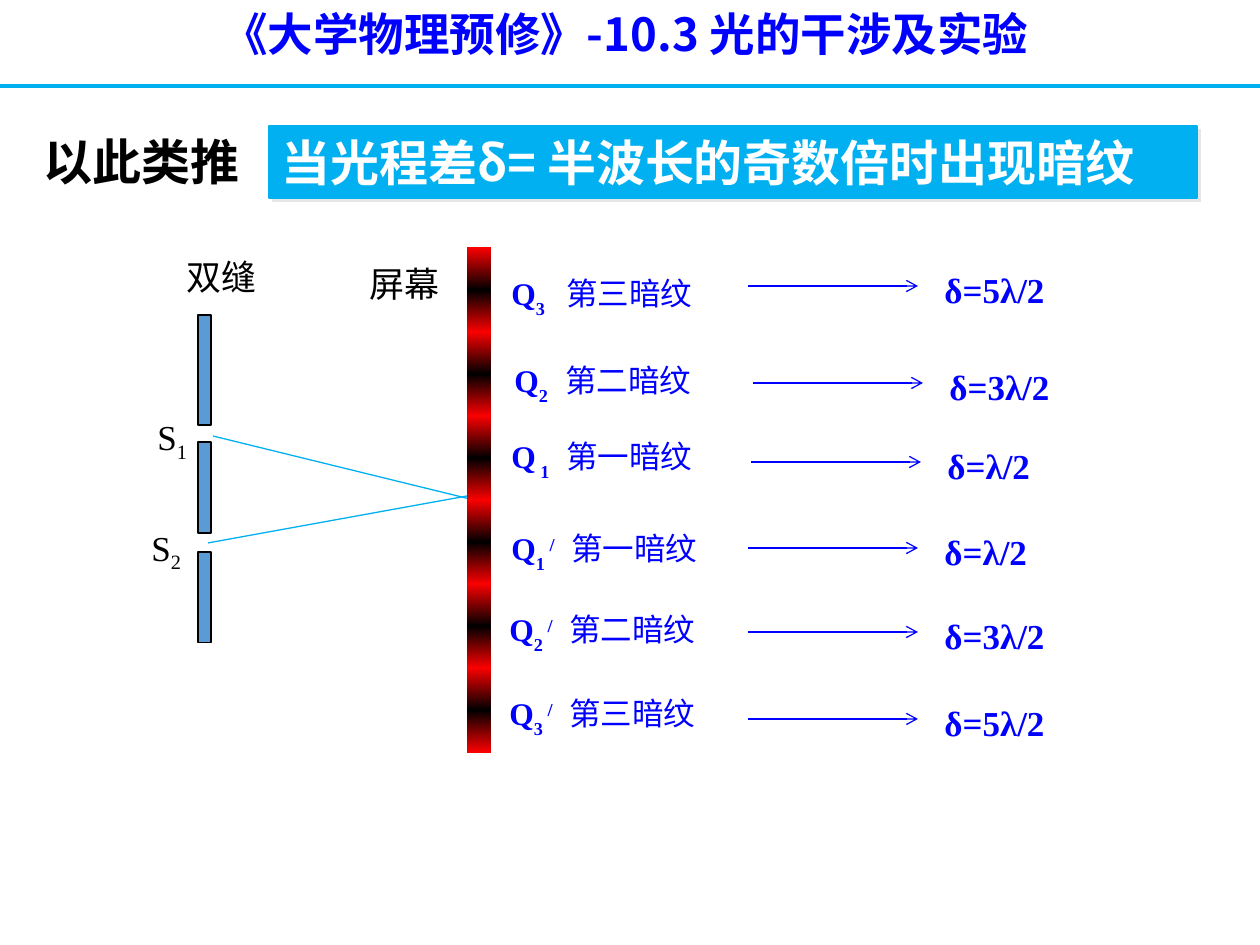
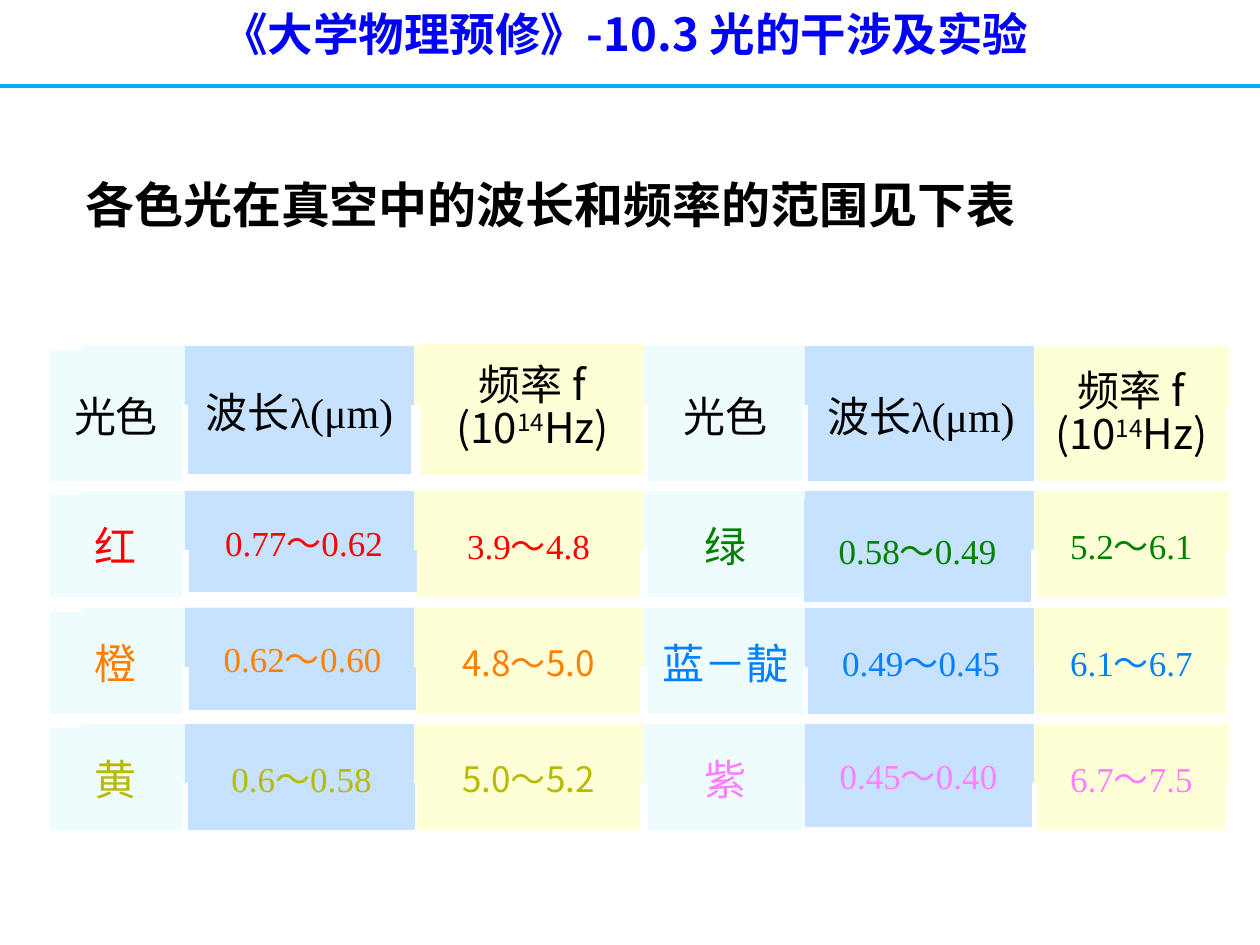
import copy

import pptx
import pptx.dml.color
import pptx.enum.shapes
import pptx.enum.text
import pptx.oxml.ns
import pptx.util
import lxml.etree

RGB = pptx.dml.color.RGBColor
BLUE = RGB(0x00, 0x00, 0xFF)
SKY = RGB(0x00, 0xB0, 0xF0)
SLIT = RGB(0x5B, 0x9B, 0xD5)
BLACK = RGB(0x00, 0x00, 0x00)
WHITE = RGB(0xFF, 0xFF, 0xFF)
RED = RGB(0xFF, 0x00, 0x00)
ORANGE = RGB(0xFF, 0x80, 0x00)
YELLOW = RGB(0xB9, 0xB9, 0x00)
GREEN = RGB(0x00, 0x80, 0x00)
INDIGO = RGB(0x00, 0x80, 0xFF)
VIOLET = RGB(0xFF, 0x80, 0xFF)
COLUMN_FILLS = [RGB(0xEF, 0xFC, 0xFD), RGB(0xC6, 0xE2, 0xFF), RGB(0xFF, 0xFF, 0xD7)]

PX = 7257  # EMU in one px, 126 px to the inch
SANS, SERIF = "Noto Sans CJK SC", "Times New Roman"
TITLE = {"name": SANS, "size": pptx.util.Pt(26), "bold": True}
HEADING = {"name": SANS, "size": pptx.util.Pt(28), "bold": True}
LABEL = {"name": SERIF, "size": pptx.util.Pt(20)}
FRINGE = {"name": SERIF, "size": pptx.util.Pt(18)}
DELTA = {"name": SERIF, "size": pptx.util.Pt(20), "bold": True}
CELL = {"name": SANS, "size": pptx.util.Pt(24)}
LEFT, CENTER = pptx.enum.text.PP_ALIGN.LEFT, pptx.enum.text.PP_ALIGN.CENTER
RECT = pptx.enum.shapes.MSO_SHAPE.RECTANGLE
STRAIGHT = pptx.enum.shapes.MSO_CONNECTOR.STRAIGHT
qn = pptx.oxml.ns.qn


def write(tf, runs, color, fmt, align=LEFT):
    """Write (text, baseline percent, format changes) runs; "\\n" is a line break."""
    tf.word_wrap = True
    p = tf.paragraphs[0]
    p.alignment = align
    for text, baseline, changes in runs:
        if text == "\n":
            p.add_line_break()
            p.line_spacing = 0.85
            continue
        r = p.add_run()
        r.text = text
        r.font.color.rgb = color
        for key, value in {**fmt, **changes}.items():
            setattr(r.font, key, value)
        rPr = r.font._element
        lxml.etree.SubElement(rPr, qn("a:ea"), typeface=SANS)
        if baseline:
            rPr.set("baseline", str(baseline * 1000))
    return p


def add_line(s, x1, y1, x2, y2, color, weight, arrow=False):
    line = s.shapes.add_connector(STRAIGHT, x1 * PX, y1 * PX, x2 * PX, y2 * PX)
    line.line.color.rgb = color
    line.line.width = pptx.util.Pt(weight)
    if arrow:
        lxml.etree.SubElement(line.line._get_or_add_ln(), qn("a:tailEnd"), type="arrow")
    lxml.etree.SubElement(line._element.spPr, qn("a:effectLst"))


prs = pptx.Presentation()
prs.slide_width, prs.slide_height = pptx.util.Inches(10), pptx.util.Inches(7.5)
fringes, spectrum = [prs.slides.add_slide(prs.slide_layouts[6]) for _ in range(2)]

# Shared title and rule
for s in (fringes, spectrum):
    tb = s.shapes.add_textbox(153 * PX, 0, 945 * PX, 68 * PX)
    write(tb.text_frame, [("《大学物理预修》-10.3 光的干涉及实验", 0, {})], BLUE, TITLE, CENTER)
    add_line(s, 0, 86, 1260, 86, SKY, 2.25)

# Slide 1: light from the two slits to the screen
add_line(fringes, 213, 436, 470, 499, SKY, 0.75)
add_line(fringes, 208, 543, 478, 494, SKY, 0.75)

for top, height in [(315, 110), (442, 91), (552, 91)]:
    sp = fringes.shapes.add_shape(RECT, 198 * PX, top * PX, 13 * PX, height * PX)
    sp.shadow.inherit = False
    sp.fill.solid()
    sp.fill.fore_color.rgb = SLIT
    sp.line.color.rgb = BLACK
    sp.line.width = pptx.util.Pt(0.75)

# Screen: two strips side by side, six fringes each
for i in range(6):
    for left in (467, 479):
        sp = fringes.shapes.add_shape(RECT, left * PX, (247 + 84 * i) * PX, 12 * PX, 86 * PX)
        sp.shadow.inherit = False
        sp.line.fill.background()
        sp.fill.gradient()
        sp.fill.gradient_angle = 90
        stops = sp._element.spPr.find(".//" + qn("a:gsLst"))
        stops.insert(1, copy.deepcopy(stops[0]))
        for stop, position, color in zip(sp.fill.gradient_stops, (0, 0.5, 1), (RED, BLACK, RED)):
            stop.position = position
            stop.color.rgb = color

banner = fringes.shapes.add_shape(RECT, 269 * PX, 126 * PX, 928 * PX, 72 * PX)
banner.fill.solid()
banner.fill.fore_color.rgb = SKY
banner.line.color.rgb = SKY
banner.line.width = pptx.util.Pt(0.75)
banner.shadow.inherit = False
effects = banner._element.spPr.find(qn("a:effectLst"))
shadow = lxml.etree.SubElement(effects, qn("a:outerShdw"), dist=str(5 * PX), dir="2700000", algn="ctr")
lxml.etree.SubElement(shadow, qn("a:srgbClr"), val="E7E6E6")
banner.text_frame.vertical_anchor = pptx.enum.text.MSO_ANCHOR.TOP
write(banner.text_frame, [("当光程差δ= 半波长的奇数倍时出现暗纹", 0, {})], WHITE, HEADING)

for s, x, y, width, height, runs, fmt in [
    (fringes, 31, 125, 252, 72, [("以此类推", 0, {})], HEADING),
    (fringes, 174, 249, 96, 55, [("双缝", 0, {})], LABEL),
    (fringes, 357, 256, 96, 55, [("屏幕", 0, {})], LABEL),
    (fringes, 145, 409, 58, 55, [("S", 0, {}), ("1", -25, {})], LABEL),
    (fringes, 139, 520, 58, 55, [("S", 0, {}), ("2", -25, {})], LABEL),
    (spectrum, 73, 168, 962, 72, [("各色光在真空中的波长和频率的范围见下表", 0, {})], HEADING),
]:
    tb = s.shapes.add_textbox(x * PX, y * PX, width * PX, height * PX)
    write(tb.text_frame, runs, BLACK, fmt)

# Dark fringes: index, prime, name, label place, tab, arrow place, path difference
for index, prime, name, x, y, tab, arrow_x, arrow_y, delta in [
    ("3", "", "第三暗纹", 499, 268, 55, 748, 286, "δ=5λ/2"),
    ("2", "", "第二暗纹", 502, 355, 51, 753, 383, "δ=3λ/2"),
    (" 1", "", "第一暗纹", 499, 431, 55, 751, 462, "δ=λ/2"),
    ("1 ", "/", "第一暗纹", 499, 523, 60, 748, 548, "δ=λ/2"),
    ("2 ", "/", "第二暗纹", 497, 604, 60, 748, 632, "δ=3λ/2"),
    ("3 ", "/", "第三暗纹", 497, 688, 60, 748, 719, "δ=5λ/2"),
]:
    bold = {"bold": True}
    runs = [("Q", 0, bold), (index, -30, bold)]
    if prime:
        runs.append((prime, 30, bold))
    runs.append(("\t" + name, 0, {}))
    tb = fringes.shapes.add_textbox(x * PX, y * PX, 230 * PX, 50 * PX)
    p = write(tb.text_frame, runs, BLUE, FRINGE)
    tabs = lxml.etree.SubElement(p._p.get_or_add_pPr(), qn("a:tabLst"))
    lxml.etree.SubElement(tabs, qn("a:tab"), pos=str(tab * PX), algn="l")

    add_line(fringes, arrow_x, arrow_y, arrow_x + 170, arrow_y, BLUE, 0.75, arrow=True)
    tb = fringes.shapes.add_textbox((arrow_x + 184) * PX, (arrow_y - 24) * PX, 208 * PX, 55 * PX)
    write(tb.text_frame, [(delta, 0, {})], BLUE, DELTA)

# Slide 2: wavelength and frequency of each colour of light
serif = {"name": SERIF}
small = {"size": pptx.util.Pt(20)}
heads = [
    [("光色", 0, {})],
    [("波长", 0, {}), ("λ(μm)", 0, serif)],
    [("频率 f", 0, {}), ("\n", 0, {}), ("(10", 0, {}), ("14", 30, {}), ("Hz)", 0, {})],
]
lights = [
    [("红", "0.77～0.62", "3.9～4.8", RED, SERIF), ("绿", "0.58～0.49", "5.2～6.1", GREEN, SERIF)],
    [("橙", "0.62～0.60", "4.8～5.0", ORANGE, SANS), ("蓝－靛", "0.49～0.45", "6.1～6.7", INDIGO, SERIF)],
    [("黄", "0.6～0.58", "5.0～5.2", YELLOW, SANS), ("紫", "0.45～0.40", "6.7～7.5", VIOLET, SERIF)],
]
rows = [[(runs, BLACK) for runs in heads * 2]]
for pair in lights:
    row = []
    for name, wavelength, frequency, color, font in pair:
        row += [
            ([(name, 0, {})], color),
            ([(wavelength, 0, {**small, **serif})], color),
            ([(frequency, 0, {**small, "name": font})], color),
        ]
    rows.append(row)

# Each cell is a panel in front of a low band; some panels sit off the grid
band_columns = [(81, 104), (185, 229), (414, 230), (644, 161), (805, 229), (1034, 195)]
panel_columns = [(50, 132), (188, 227), (417, 223), (648, 155), (808, 226), (1037, 189)]
panel_rows = [(350, 131), (495, 102), (612, 102), (728, 102)]
moved_panels = {
    (0, 1): (188, 350, 223, 124),
    (0, 2): (421, 344, 223, 131),
    (1, 1): (189, 494, 230, 98),
    (1, 4): (804, 500, 227, 102),
    (2, 1): (189, 608, 227, 102),
    (3, 4): (805, 725, 227, 102),
}
for i, row in enumerate(rows):
    top, height = panel_rows[i]
    for j, (runs, color) in enumerate(row):
        band_left, band_width = band_columns[j]
        left, width = panel_columns[j]
        band = (band_left, top - 4, band_width, 59)
        panel = moved_panels.get((i, j), (left, top, width, height))
        for box in (band, panel):
            sp = spectrum.shapes.add_shape(RECT, *[n * PX for n in box])
            sp.shadow.inherit = False
            sp.fill.solid()
            sp.fill.fore_color.rgb = COLUMN_FILLS[j % 3]
            sp.line.fill.background()
        tf = sp.text_frame
        tf.margin_left = tf.margin_right = 0
        tf.vertical_anchor = pptx.enum.text.MSO_ANCHOR.MIDDLE
        write(tf, runs, color, CELL, CENTER)

prs.save("out.pptx")
